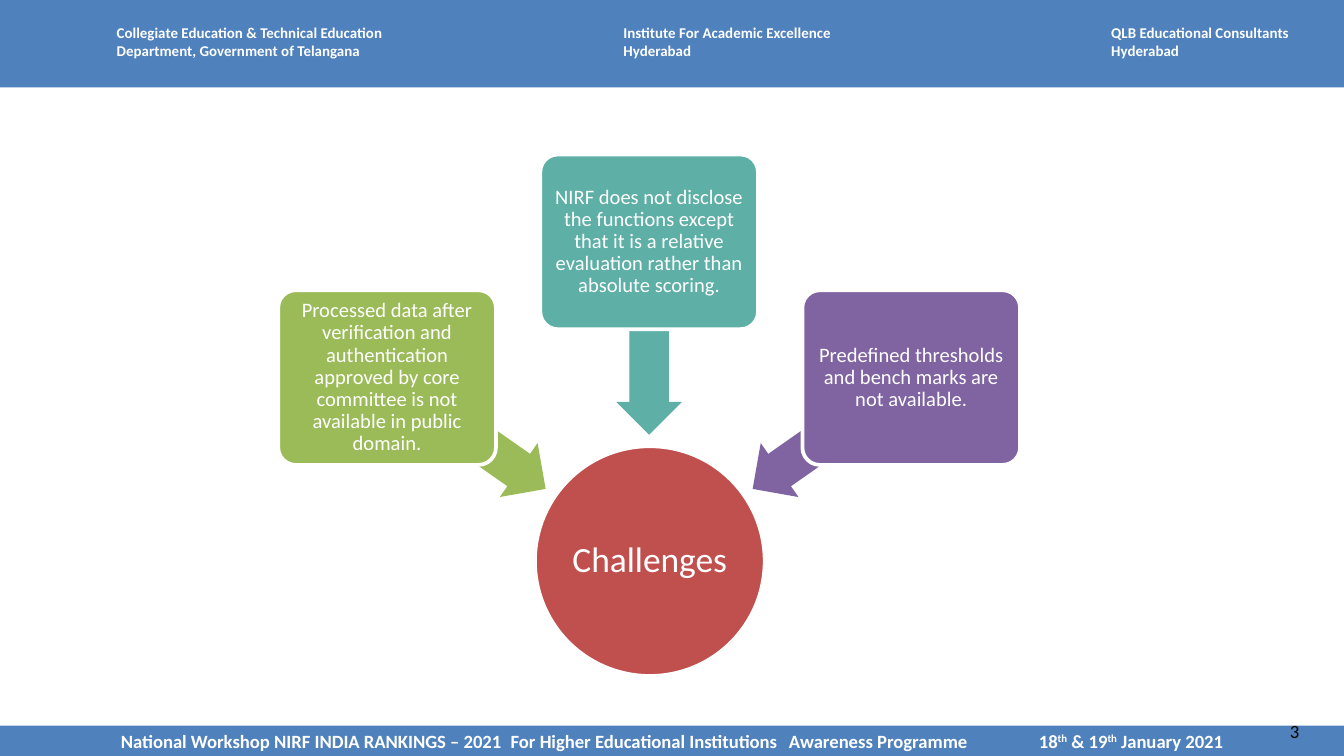
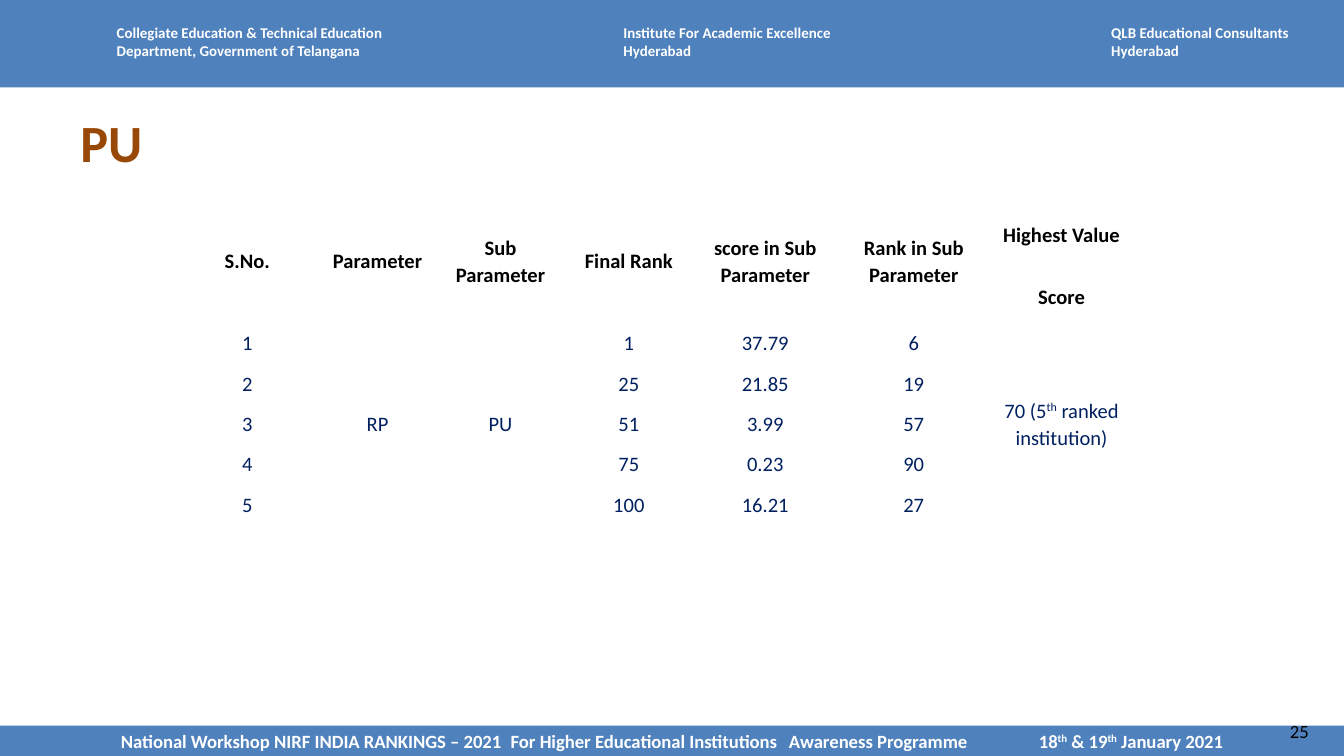
from pptx import Presentation
from pptx.dml.color import RGBColor as RGB
from pptx.enum.shapes import MSO_SHAPE as Kind
from pptx.enum.text import MSO_ANCHOR as Anchor, PP_ALIGN as Align
from pptx.util import Inches, Pt
from lxml import etree

BLUE = RGB(0x4F, 0x81, 0xBD)
GREEN = RGB(0x9B, 0xBB, 0x59)
TEAL = RGB(0x5E, 0xAF, 0xA6)
PURPLE = RGB(0x80, 0x64, 0xA2)
RED = RGB(0xC0, 0x50, 0x4D)
BROWN = RGB(0x98, 0x48, 0x07)
NAVY = RGB(0x00, 0x20, 0x60)
WHITE = RGB(0xFF, 0xFF, 0xFF)
BLACK = RGB(0, 0, 0)
FONT = "Calibri"
WIDE = 10
HIGH = WIDE * 9 / 16
NS = "http://schemas.openxmlformats.org/drawingml/2006/main"

HOSTS = [
    (0.77, 2.26, "Collegiate Education & Technical Education\n"
                 "Department, Government of Telangana"),
    (4.54, 1.76, "Institute For Academic Excellence\nHyderabad"),
    (8.17, 1.67, "QLB Educational Consultants\nHyderabad"),
]
EVENT = ("National Workshop NIRF INDIA RANKINGS – 2021\t"
         "For Higher Educational Institutions\tAwareness Programme\t"
         "18^th^ & 19^th^ January 2021")


def write(frame, text, size=11, color=WHITE, bold=False, align=Align.LEFT,
          space=None, tabs=()):
    """Fill a frame; newlines split paragraphs, ^ marks enclose superscripts."""
    frame.word_wrap = True
    for i, line in enumerate(text.split("\n")):
        para = frame.add_paragraph() if i else frame.paragraphs[0]
        para.alignment = align
        if space:
            para.line_spacing = space
        if tabs:
            stops = etree.SubElement(para._p.get_or_add_pPr(), f"{{{NS}}}tabLst")
            for stop in tabs:
                etree.SubElement(stops, f"{{{NS}}}tab",
                                 pos=str(Inches(stop)), algn="l")
        for j, part in enumerate(line.split("^")):
            run = para.add_run()
            run.text = part
            font = run.font
            font.name, font.size, font.bold = FONT, Pt(size), bold
            font.color.rgb = color
            if j % 2:
                run._r.get_or_add_rPr().set("baseline", "30000")


def inset(item, side, top):
    item.margin_left = item.margin_right = Inches(side)
    item.margin_top = item.margin_bottom = Inches(top)


class Deck:
    def __init__(self):
        self.show = Presentation()
        self.show.slide_width = Inches(WIDE)
        self.show.slide_height = Inches(HIGH)
        self.slide = None

    def page(self, number):
        """Start a slide with its shared bands and labels."""
        self.slide = self.show.slides.add_slide(self.show.slide_layouts[6])
        self.shape(Kind.RECTANGLE, 0, 0, WIDE, 0.65, BLUE)
        for left, width, host in HOSTS:
            self.text(left, 0.13, width, 0.37, host, size=8,
                      color=WHITE, bold=True)
        band = self.shape(Kind.RECTANGLE, 0, 5.4, WIDE, 0.23, BLUE)
        inset(band.text_frame, 0, 0)
        band.text_frame.margin_left = Inches(0.9)
        write(band.text_frame, EVENT, size=10, bold=True,
              tabs=(2.9, 4.97, 6.83))
        self.text(9.5, 5.31, 0.5, 0.27, str(number), size=10, color=BLACK)

    def text(self, left, top, width, height, text, **style):
        box = self.slide.shapes.add_textbox(
            Inches(left), Inches(top), Inches(width), Inches(height))
        write(box.text_frame, text, **style)

    def shape(self, kind, left, top, width, height, fill, edge=None,
              turn=0, adjust=()):
        item = self.slide.shapes.add_shape(
            kind, Inches(left), Inches(top), Inches(width), Inches(height))
        item.shadow.inherit = False
        item.fill.solid()
        item.fill.fore_color.rgb = fill
        if edge:
            item.line.color.rgb = edge
            item.line.width = Pt(2)
        else:
            item.line.fill.background()
        item.rotation = turn
        for i, value in enumerate(adjust):
            item.adjustments[i] = value
        item.text_frame.vertical_anchor = Anchor.MIDDLE
        return item

    def node(self, kind, left, top, width, height, fill, text, size=11,
             adjust=()):
        item = self.shape(kind, left, top, width, height, fill, WHITE,
                          adjust=adjust)
        inset(item.text_frame, 0.02, 0.02)
        write(item.text_frame, text, size=size, align=Align.CENTER, space=0.9)

    def table(self, left, top, cols, rows, cells, spans, heads):
        grid = self.slide.shapes.add_table(
            len(rows), len(cols), Inches(left), Inches(top),
            Inches(sum(cols)), Inches(sum(rows))).table
        grid.first_row = grid.horz_banding = False
        for col, width in zip(grid.columns, cols):
            col.width = Inches(width)
        for row, height in zip(grid.rows, rows):
            row.height = Inches(height)
        for first, last, col in spans:
            grid.cell(first, col).merge(grid.cell(last, col))
        for r, line in enumerate(cells):
            for c, text in enumerate(line):
                cell = grid.cell(r, c)
                cell.fill.background()
                cell.vertical_anchor = Anchor.MIDDLE
                inset(cell, 0.06, 0)
                if text:
                    head = r < heads
                    write(cell.text_frame, text, bold=head,
                          color=BLACK if head else NAVY,
                          align=Align.CENTER, space=1.07)


def draw_issues(deck):
    deck.page(3)
    deck.node(Kind.OVAL, 3.98, 3.32, 1.71, 1.71, RED, "Challenges", size=19)
    # Each cause: box top, arrow top, arrow turn, colour, wording
    causes = [
        (2.16, 2.98, 215, GREEN,
         "Processed data after verification and authentication approved by "
         "core committee is not available in public domain."),
        (1.15, 2.27, 270, TEAL,
         "NIRF does not disclose the functions except that it is a relative "
         "evaluation rather than absolute scoring."),
        (2.16, 2.98, 325, PURPLE,
         "Predefined thresholds and bench marks are not available."),
    ]
    for i, (top, tip, turn, fill, text) in enumerate(causes):
        deck.shape(Kind.LEFT_ARROW, 2.75 + 1.36 * i, tip, 1.44, 0.49, fill,
                   turn=turn, adjust=(0.6, 0.5))
        deck.node(Kind.ROUNDED_RECTANGLE, 2.07 + 1.95 * i, top, 1.62, 1.3,
                  fill, text, adjust=(0.1,))


def draw_scores(deck):
    deck.page(25)
    deck.text(0.5, 0.77, 9, 0.46, "PU", size=28, color=BROWN, bold=True)
    scores = [("1", "37.79", "6"), ("25", "21.85", "19"), ("51", "3.99", "57"),
              ("75", "0.23", "90"), ("100", "16.21", "27")]
    cells = [
        ["S.No.", "Parameter", "Sub Parameter", "Final Rank",
         "score in Sub Parameter", "Rank in Sub\nParameter", "Highest Value"],
        [""] * 6 + ["Score"],
    ]
    for i, score in enumerate(scores, 1):
        cells.append([str(i), "", "", *score, ""])
    cells[2][1:3] = "RP", "PU"
    cells[2][6] = "70 (5^th^ ranked institution)"
    spans = [(0, 1, c) for c in range(6)] + [(2, 6, c) for c in (1, 2, 6)]
    deck.table(1.33, 1.48, [1.02, 0.92, 0.91, 1, 1.03, 1.18, 1.02],
               [0.53] + [0.3] * 6, cells, spans, heads=2)


def main():
    deck = Deck()
    draw_issues(deck)
    draw_scores(deck)
    deck.show.save("out.pptx")


if __name__ == "__main__":
    main()
